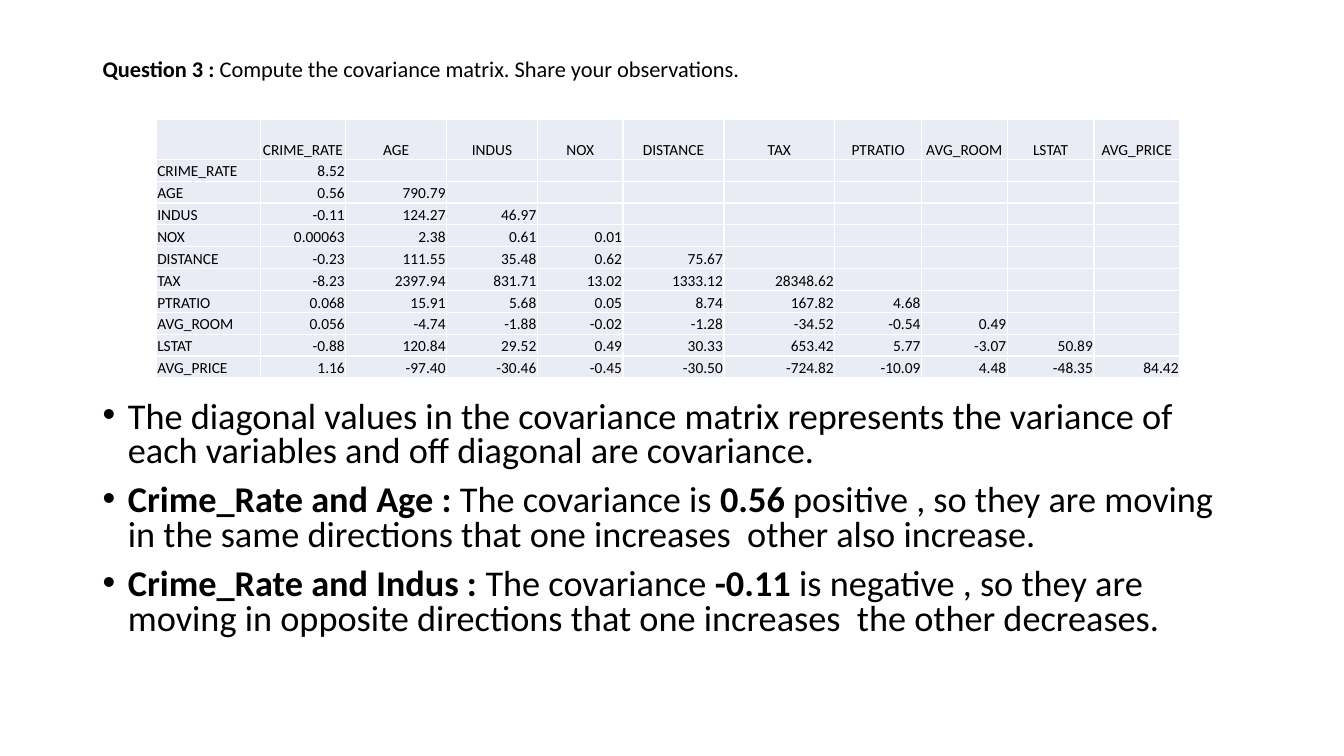
import pptx
import pptx.dml.color
import pptx.enum.text
import pptx.oxml.ns
import pptx.util
from lxml import etree

Inches, Pt = pptx.util.Inches, pptx.util.Pt
Align, Anchor = pptx.enum.text.PP_ALIGN, pptx.enum.text.MSO_ANCHOR
qn = pptx.oxml.ns.qn
BLACK = pptx.dml.color.RGBColor(0x00, 0x00, 0x00)
PALE_BLUE = pptx.dml.color.RGBColor(0xE9, 0xEB, 0xF5)
WHITE = pptx.dml.color.RGBColor(0xFF, 0xFF, 0xFF)
LEFT, CONTENT_WIDTH = 0.92, 11.5
TITLE_TOP, TITLE_HEIGHT = 0.4, 0.59
BODY_TOP, BODY_HEIGHT = TITLE_TOP + TITLE_HEIGHT, 5.77


def style(font, size, bold=False):
    font.name, font.size, font.bold = "Calibri", Pt(size), bold
    font.color.rgb = BLACK


def add_runs(paragraph, parts, size):
    """Add text parts, each a (text, bold) pair."""
    for text, bold in parts:
        run = paragraph.add_run()
        run.text = text
        style(run.font, size, bold)


deck = pptx.Presentation()
deck.slide_width, deck.slide_height = Inches(13.33), Inches(7.5)
slide = deck.slides.add_slide(deck.slide_layouts[6])

# Question
question = slide.shapes.add_textbox(
    Inches(LEFT), Inches(TITLE_TOP), Inches(CONTENT_WIDTH), Inches(TITLE_HEIGHT)).text_frame
question.word_wrap = True
question.vertical_anchor = Anchor.MIDDLE
question.paragraphs[0].line_spacing = 0.9
add_runs(question.paragraphs[0], [
    ("Question 3 : ", True),
    ("Compute the covariance matrix. Share your observations.", False)], 16)

# Observations, starting below the matrix
observations = [
    [("The diagonal values in the covariance matrix represents the variance of each "
      "variables and off diagonal are covariance.", False)],
    [("Crime_Rate and Age : ", True), ("The covariance is ", False), ("0.56", True),
     (" positive , so they are moving in the same directions that one increases  "
      "other also increase.", False)],
    [("Crime_Rate and Indus : ", True), ("The covariance ", False), ("-0.11 ", True),
     ("is negative , so they are moving in opposite directions that one increases  "
      "the other decreases.", False)],
]
body = slide.shapes.add_textbox(
    Inches(LEFT), Inches(BODY_TOP), Inches(CONTENT_WIDTH), Inches(BODY_HEIGHT)).text_frame
body.word_wrap = True
body.margin_top = Inches(2.99)
for index, parts in enumerate(observations):
    paragraph = body.add_paragraph() if index else body.paragraphs[0]
    paragraph.line_spacing, paragraph.space_before = 0.8, Pt(10)
    add_runs(paragraph, parts, 25.9)
    properties = paragraph._p.get_or_add_pPr()
    properties.set("marL", str(Inches(0.25)))
    properties.set("indent", str(-Inches(0.25)))
    etree.SubElement(properties, qn("a:buFont")).set("typeface", "Arial")
    etree.SubElement(properties, qn("a:buChar")).set("char", "•")

# Covariance matrix: lower triangle, one row per variable
covariances = {
    "CRIME_RATE": "8.52",
    "AGE": "0.56 790.79",
    "INDUS": "-0.11 124.27 46.97",
    "NOX": "0.00063 2.38 0.61 0.01",
    "DISTANCE": "-0.23 111.55 35.48 0.62 75.67",
    "TAX": "-8.23 2397.94 831.71 13.02 1333.12 28348.62",
    "PTRATIO": "0.068 15.91 5.68 0.05 8.74 167.82 4.68",
    "AVG_ROOM": "0.056 -4.74 -1.88 -0.02 -1.28 -34.52 -0.54 0.49",
    "LSTAT": "-0.88 120.84 29.52 0.49 30.33 653.42 5.77 -3.07 50.89",
    "AVG_PRICE": "1.16 -97.40 -30.46 -0.45 -30.50 -724.82 -10.09 4.48 -48.35 84.42",
}
rows = [["", *covariances]]
rows += [[variable, *values.split()] for variable, values in covariances.items()]
column_widths = [1.03, 0.85, 1, 0.9, 0.85, 1, 1.1, 0.86, 0.85, 0.86, 0.85]
row_heights = [0.4] + [0.217] * len(covariances)
matrix = slide.shapes.add_table(
    len(rows), len(column_widths), Inches(1.55), Inches(1.18),
    Inches(sum(column_widths)), Inches(sum(row_heights))).table
matrix.first_row = matrix.horz_banding = False
for column, width in zip(matrix.columns, column_widths):
    column.width = Inches(width)
for row, height in zip(matrix.rows, row_heights):
    row.height = Inches(height)

for r, entries in enumerate(rows):
    for c in range(len(column_widths)):
        cell = matrix.cell(r, c)
        cell.margin_left = cell.margin_right = cell.margin_top = Inches(0.01)
        cell.margin_bottom = 0
        cell.vertical_anchor = Anchor.BOTTOM
        paragraph = cell.text_frame.paragraphs[0]
        if c < len(entries) and entries[c]:
            add_runs(paragraph, [(entries[c], False)], 11)
            paragraph.alignment = (
                Align.CENTER if r == 0 else Align.RIGHT if c else Align.LEFT)
        else:
            # Keeps empty cells from stretching their row
            etree.SubElement(paragraph._p, qn("a:endParaRPr")).set("sz", "1100")
        for side in ("lnL", "lnR", "lnT", "lnB"):
            border = etree.SubElement(cell._tc.get_or_add_tcPr(), qn("a:" + side))
            border.set("w", str(Pt(1)))
            border_fill = etree.SubElement(border, qn("a:solidFill"))
            etree.SubElement(border_fill, qn("a:srgbClr")).set("val", str(WHITE))
        cell.fill.solid()
        cell.fill.fore_color.rgb = PALE_BLUE

deck.save("out.pptx")
